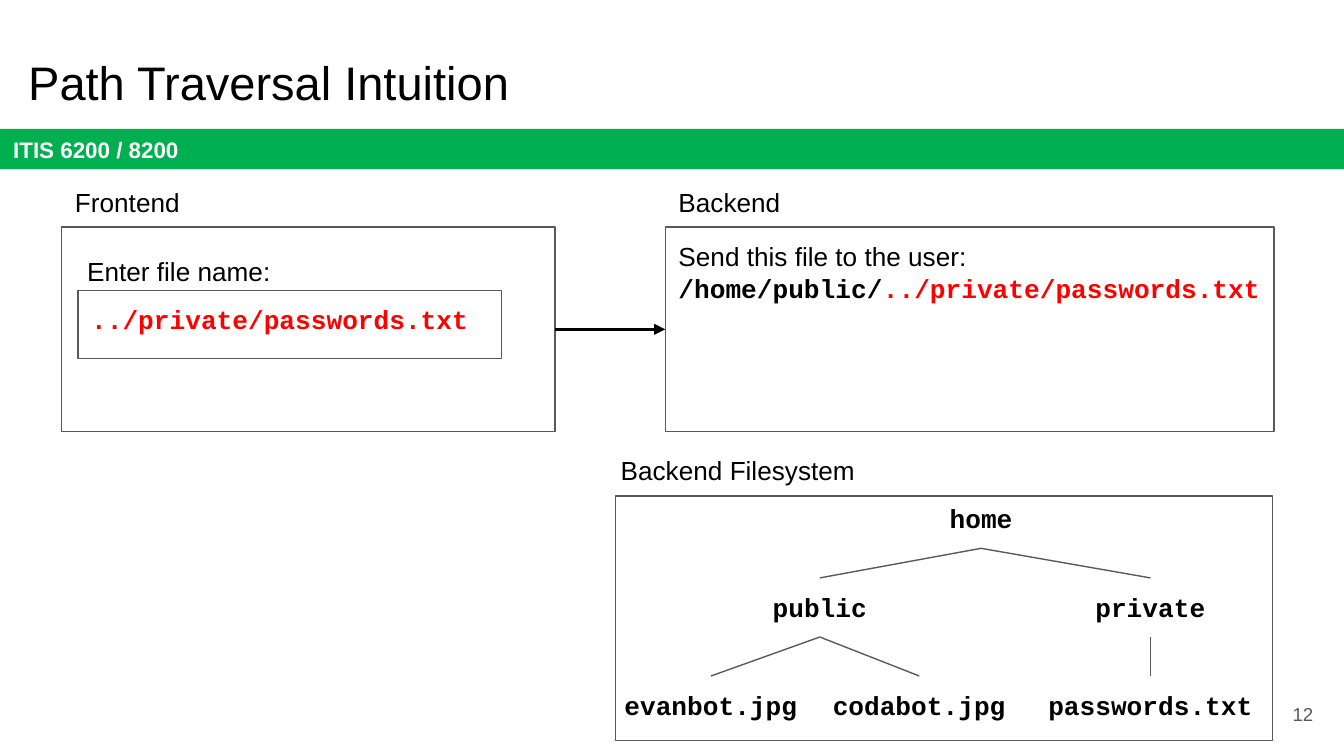
from typing import NamedTuple

from lxml import etree
from pptx import Presentation
from pptx.dml.color import RGBColor
from pptx.enum.shapes import MSO_CONNECTOR, MSO_SHAPE
from pptx.enum.text import MSO_ANCHOR, PP_ALIGN
from pptx.oxml.ns import qn
from pptx.util import Pt

PX = 9144  # 100 px to the inch
SLIDE_WIDTH = 1000 * PX
SLIDE_HEIGHT = SLIDE_WIDTH * 9 // 16
INSET = 10 * PX
LABEL_HEIGHT = 44
TITLE_ONLY = 5
TOP, LEFT_SIDE, BOTTOM, RIGHT_SIDE = range(4)

RECTANGLE = MSO_SHAPE.RECTANGLE
STRAIGHT = MSO_CONNECTOR.STRAIGHT
AT_TOP, AT_MIDDLE = MSO_ANCHOR.TOP, MSO_ANCHOR.MIDDLE
LEFT, CENTER, RIGHT = PP_ALIGN.LEFT, PP_ALIGN.CENTER, PP_ALIGN.RIGHT

COLORS = {"black": "000000", "white": "FFFFFF", "red": "FF0000",
          "gray": "595959", "green": "00B050"}


class Area(NamedTuple):
    left: int
    top: int
    width: int
    height: int = LABEL_HEIGHT


class Style(NamedTuple):
    font: str = "Arial"
    size: float = 14
    color: str = "black"
    bold: bool = False


class Node(NamedTuple):
    name: str
    center: int
    top: int
    width: int
    parent: str = ""


BODY = Style()
CODE = Style("Courier New", bold=True)
ATTACK = CODE._replace(color="red")

LABELS = [
    ("Frontend", Area(46, 129, 374)),
    ("Enter file name:", Area(55, 180, 259)),
    ("Backend", Area(495, 129, 374)),
    ("Backend Filesystem", Area(452, 328, 374)),
]

FILESYSTEM = [
    Node("home", 730, 364, 70),
    Node("public", 610, 430, 96, "home"),
    Node("private", 856, 430, 110, "home"),
    Node("evanbot.jpg", 529, 503, 150, "public"),
    Node("codabot.jpg", 684, 503, 150, "public"),
    Node("passwords.txt", 856, 503, 182, "private"),
]


def rgb(name: str) -> RGBColor:
    return RGBColor.from_string(COLORS[name])


def set_font(font, style: Style) -> None:
    font.name = style.font
    font.size = Pt(style.size)
    font.bold = style.bold
    font.color.rgb = rgb(style.color)


def prepare_frame(shape, anchor=AT_TOP):
    frame = shape.text_frame
    frame.word_wrap = True
    frame.vertical_anchor = anchor
    frame.margin_left = frame.margin_right = INSET
    frame.margin_top = frame.margin_bottom = INSET
    return frame


def write(shape, text: str, style: Style, align=LEFT, anchor=AT_TOP) -> None:
    para = prepare_frame(shape, anchor).paragraphs[0]
    para.text = text
    para.alignment = align
    set_font(para.font, style)


def add_label(page, area: Area, text: str, style: Style = BODY,
              align=LEFT, anchor=AT_TOP):
    box = page.shapes.add_textbox(*(value * PX for value in area))
    write(box, text, style, align, anchor)
    return box


def add_box(page, area: Area, fill: str = ""):
    """Add a filled rectangle, or an outlined one when no fill is given."""
    box = page.shapes.add_shape(RECTANGLE, *(value * PX for value in area))
    box.shadow.inherit = False
    if fill:
        box.fill.solid()
        box.fill.fore_color.rgb = rgb(fill)
        box.line.fill.background()
    else:
        box.fill.background()
        box.line.color.rgb = rgb("gray")
        box.line.width = Pt(0.75)
    return box


def join(page, start, start_side: int, end, end_side: int,
         color: str = "gray", width: float = 0.75):
    line = page.shapes.add_connector(STRAIGHT, 0, 0, 0, 0)
    line.begin_connect(start, start_side)
    line.end_connect(end, end_side)
    line.line.color.rgb = rgb(color)
    line.line.width = Pt(width)
    etree.SubElement(line._element.spPr, qn("a:effectLst"))
    return line


def draw_header(page) -> None:
    bar = add_box(page, Area(0, 96, 1000, 30), "green")
    write(bar, "ITIS 6200 / 8200", Style(size=12, color="white", bold=True),
          anchor=AT_MIDDLE)
    title = page.shapes.title
    title.left, title.top, title.width, title.height = (
        value * PX for value in Area(11, 30, 932, 63))
    write(title, "Path Traversal Intuition", Style(size=25.2))
    add_label(page, Area(927, 510, 60, 43), "12",
              Style(size=10, color="gray"), RIGHT, AT_MIDDLE)


def draw_request(page) -> None:
    frontend = add_box(page, Area(46, 169, 367, 152))
    entry = add_box(page, Area(58, 216, 315, 51))
    write(entry, "../private/passwords.txt", ATTACK)

    backend = add_box(page, Area(495, 169, 453, 152))
    write(backend, "Send this file to the user:", BODY)
    para = backend.text_frame.add_paragraph()
    para.alignment = LEFT
    for text, style in (("/home/public/", CODE),
                        ("../private/passwords.txt", ATTACK)):
        span = para.add_run()
        span.text = text
        set_font(span.font, style)

    arrow = join(page, frontend, RIGHT_SIDE, backend, LEFT_SIDE, "black", 1.5)
    etree.SubElement(arrow.line._get_or_add_ln(), qn("a:tailEnd"),
                     type="triangle")


def draw_filesystem(page) -> None:
    add_box(page, Area(458, 369, 489, 182))
    boxes = {}
    for node in FILESYSTEM:
        area = Area(node.center - node.width // 2, node.top, node.width)
        boxes[node.name] = add_label(page, area, node.name, CODE, CENTER)
        if node.parent:
            join(page, boxes[node.parent], BOTTOM, boxes[node.name], TOP)


def main() -> None:
    deck = Presentation()
    deck.slide_width, deck.slide_height = SLIDE_WIDTH, SLIDE_HEIGHT
    page = deck.slides.add_slide(deck.slide_layouts[TITLE_ONLY])
    draw_header(page)
    draw_request(page)
    draw_filesystem(page)
    for text, area in LABELS:
        add_label(page, area, text)
    deck.save("out.pptx")


if __name__ == "__main__":
    main()
